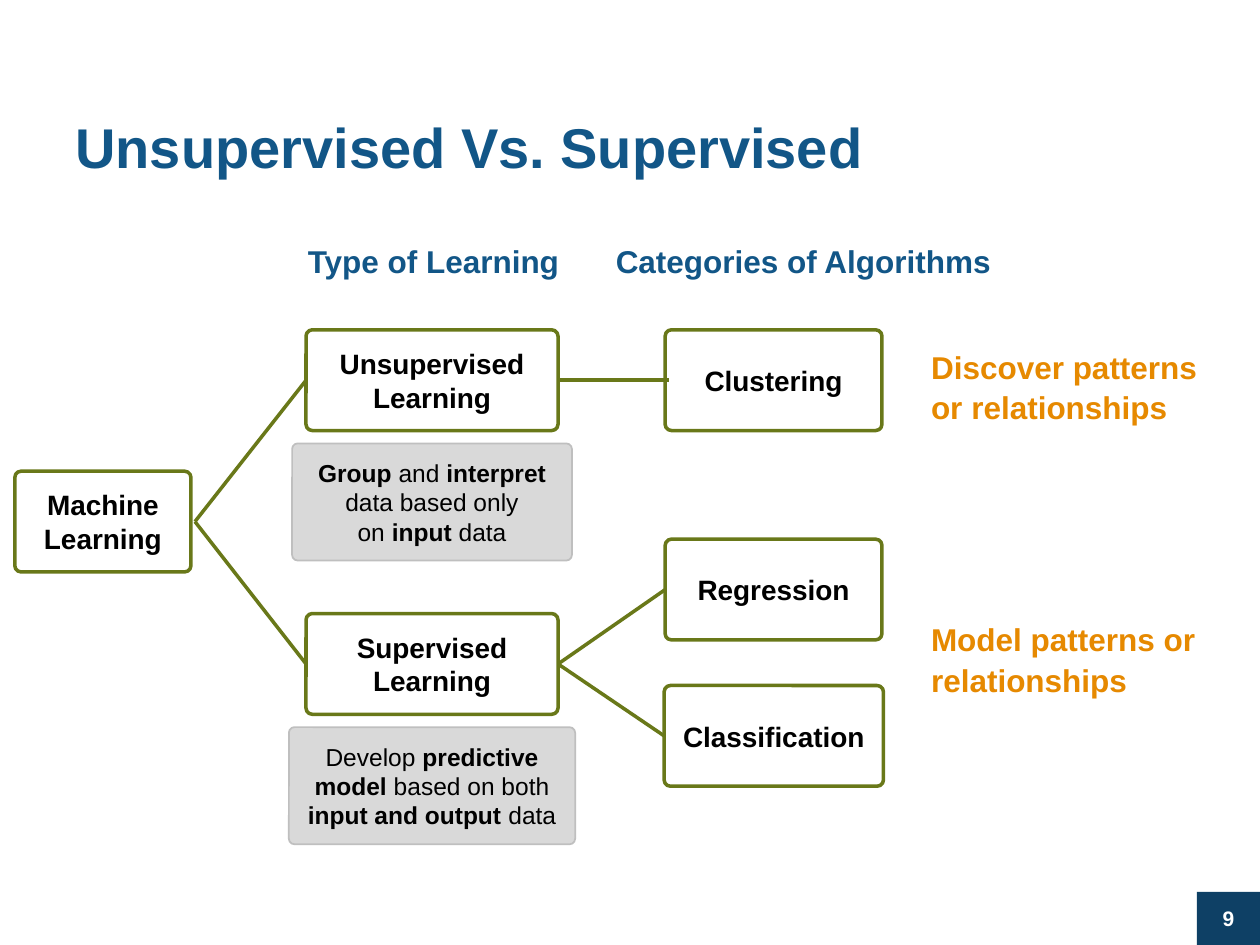
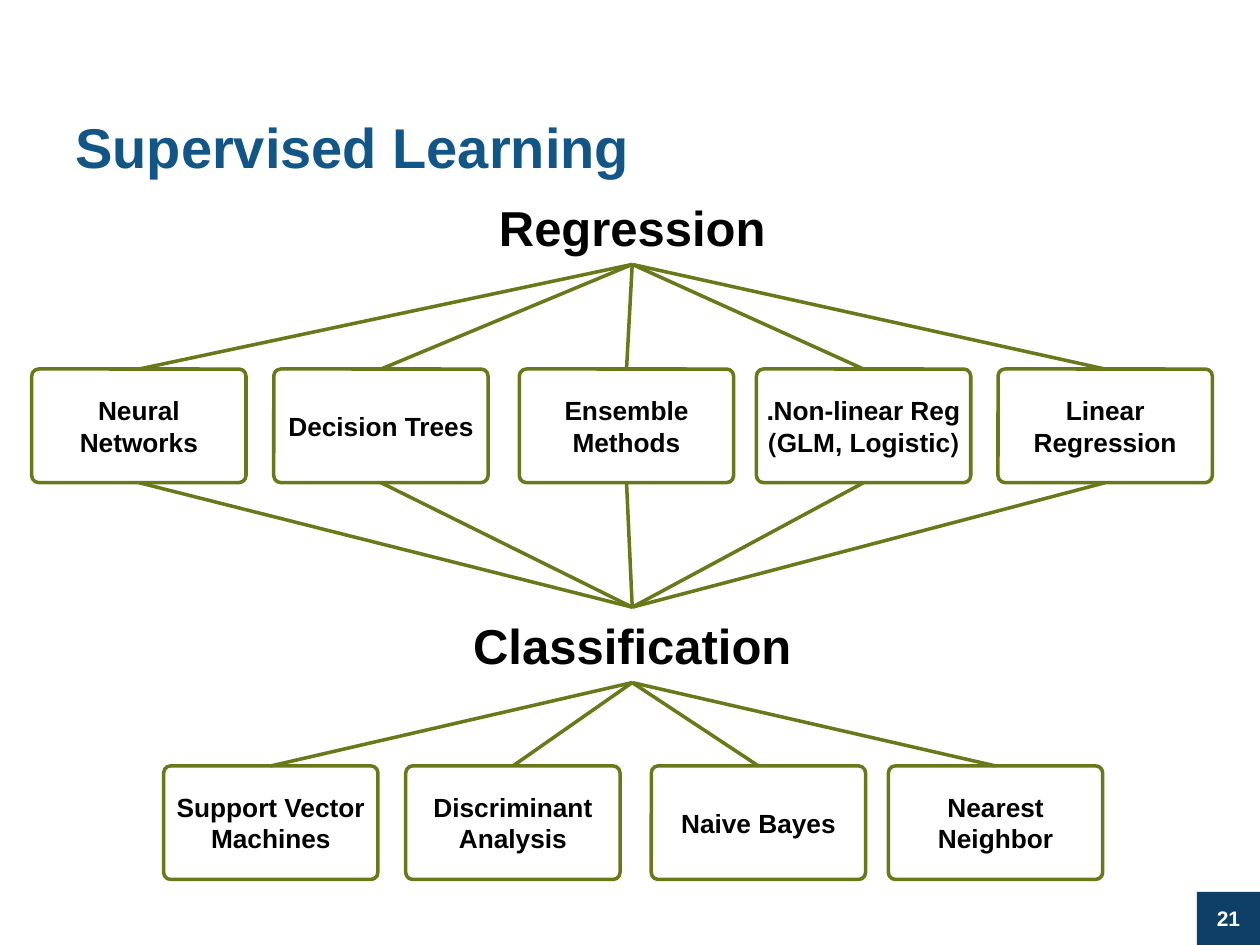
"""Build two slides that map out types of machine learning."""
from collections import namedtuple
from dataclasses import dataclass

from lxml import etree
from pptx import Presentation
from pptx import util as u
from pptx.dml.color import RGBColor
from pptx.enum import shapes, text
from pptx.oxml.ns import qn


@dataclass(frozen=True)
class Theme:
    """Colours, type sizes and line widths of the deck."""
    font: str = "Arial"
    title: str = "125687"
    badge: str = "0E4065"
    branch: str = "697819"
    note: str = "D9D9D9"
    note_edge: str = "BFBFBF"
    accent: str = "E68900"
    ink: str = "000000"
    paper: str = "FFFFFF"
    title_size: int = 32
    hub_size: int = 28
    head_size: int = 18
    node_size: int = 16
    method_size: int = 15
    note_size: int = 14
    badge_size: int = 12
    branch_width: int = 2


T = Theme()
CENTER, LEFT = text.PP_ALIGN.CENTER, text.PP_ALIGN.LEFT
RECT, ROUND = shapes.MSO_SHAPE.RECTANGLE, shapes.MSO_SHAPE.ROUNDED_RECTANGLE


class Box(namedtuple("Box", "x y w h")):
    """A rectangle in centimetres with its edge midpoints."""

    @property
    def cx(self):
        """Return the horizontal centre."""
        return self.x + self.w / 2

    @property
    def left(self):
        """Return the middle of the left edge."""
        return self.x, self.y + self.h / 2

    @property
    def right(self):
        """Return the middle of the right edge."""
        return self.x + self.w, self.y + self.h / 2

    @property
    def top(self):
        """Return the middle of the top edge."""
        return self.cx, self.y

    @property
    def bottom(self):
        """Return the middle of the bottom edge."""
        return self.cx, self.y + self.h

    def emu(self):
        """Return the position and size as lengths."""
        return [u.Cm(v) for v in self]


def write(tf, content, size=T.node_size, color=T.ink, bold=True, align=CENTER,
          rtl=False, spacing=None):
    """Write paragraphs split by newline, breaks by \\v, and toggle bold at **."""
    for i, line in enumerate(content.split("\n")):
        p = tf.add_paragraph() if i else tf.paragraphs[0]
        p.alignment = align
        if rtl:
            p._p.get_or_add_pPr().set("rtl", "1")
        if spacing:
            p.line_spacing = spacing
        for j, part in enumerate(line.split("**")):
            for k, piece in enumerate(part.split("\v")):
                if k:
                    p.add_line_break()
                if piece:
                    r = p.add_run()
                    r.text = piece
                    r.font.name, r.font.size = T.font, u.Pt(size)
                    r.font.bold = bold != bool(j % 2)
                    r.font.color.rgb = RGBColor.from_string(color)


def add_label(slide, box, content, wrap=True, top_inset=0.13, **fmt):
    """Add a text box."""
    tf = slide.shapes.add_textbox(*box.emu()).text_frame
    tf.word_wrap = wrap
    tf.margin_top = u.Cm(top_inset)
    write(tf, content, **fmt)


def add_block(slide, box, content, kind=ROUND, fill=None, line=None, width=T.branch_width,
              radius=0.062, inset=None, **fmt):
    """Add a preset shape with centred text and return its box."""
    sp = slide.shapes.add_shape(kind, *box.emu())
    sp.shadow.inherit = False
    if kind == ROUND:
        sp.adjustments[0] = radius
    if fill:
        sp.fill.solid()
        sp.fill.fore_color.rgb = RGBColor.from_string(fill)
    else:
        sp.fill.background()
    if line:
        sp.line.color.rgb = RGBColor.from_string(line)
        sp.line.width = u.Pt(width)
    else:
        sp.line.fill.background()
    tf = sp.text_frame
    tf.word_wrap = True
    tf.vertical_anchor = text.MSO_ANCHOR.MIDDLE
    if inset is not None:
        tf.margin_left = tf.margin_right = tf.margin_top = tf.margin_bottom = u.Cm(inset)
    write(tf, content, **fmt)
    return box


def add_node(slide, box, content, **fmt):
    """Add an outlined node of the tree."""
    return add_block(slide, box, content, line=T.branch, rtl=True, **fmt)


def add_branches(slide, start, ends):
    """Draw a line from one point to each of the others."""
    for end in ends:
        ln = slide.shapes.add_connector(
            shapes.MSO_CONNECTOR.STRAIGHT, *[u.Cm(v) for v in (*start, *end)])
        ln.line.color.rgb = RGBColor.from_string(T.branch)
        ln.line.width = u.Pt(T.branch_width)
        etree.SubElement(ln._element.spPr, qn("a:effectLst"))


def add_note(slide, node, width, content):
    """Add a grey note centred below a node."""
    box = Box(node.cx - width / 2, node.y + node.h + 0.26, width, 2.36)
    add_block(slide, box, content, fill=T.note, line=T.note_edge, width=1, radius=0.047,
              size=T.note_size, bold=False, rtl=True)


def add_base(prs, title, number):
    """Add a blank slide with its title and number badge."""
    slide = prs.slides.add_slide(prs.slide_layouts[6])
    add_block(slide, Box(24.13, 17.98, 1.27, 1.07), number, kind=RECT, fill=T.badge,
              size=T.badge_size, color=T.paper)
    add_label(slide, Box(1.27, 2.03, 22.43, 3.18), title, top_inset=0.23,
              size=T.title_size, color=T.title, align=LEFT)
    return slide


def add_learning_tree(slide, area):
    """Draw the tree from machine learning to categories of algorithms."""
    def place(x, y, w, h=2.03):
        """Return a box relative to the area."""
        return Box(area.x + x, area.y + y, w, h)

    for x, w, head in ((5.62, 5.64, "Type of Learning"),
                       (11.82, 8.15, "Categories of Algorithms")):
        add_label(slide, place(x, 0, w, 1.02), head, wrap=False,
                  size=T.head_size, color=T.title)

    root = add_node(slide, place(0, 4.75, 3.55), "Machine\vLearning")
    unsup = add_node(slide, place(5.87, 1.9, 5.08), "Unsupervised\vLearning")
    sup = add_node(slide, place(5.87, 7.62, 5.08), "Supervised\vLearning")
    clustering = add_node(slide, place(13.11, 1.9, 4.37), "Clustering")
    regression = add_node(slide, place(13.11, 6.12, 4.37), "Regression")
    classes = add_node(slide, place(13.09, 9.07, 4.42), "Classification")

    add_branches(slide, (root.right[0] + 0.08, root.right[1]), (unsup.left, sup.left))
    add_branches(slide, unsup.right, [(clustering.x + 0.08, clustering.left[1])])
    add_branches(slide, sup.right, (regression.left, classes.left))

    add_note(slide, unsup, 5.64,
             "**Group** and **interpret** data based only\von **input** data")
    add_note(slide, sup, 5.77,
             "Develop **predictive model** based on both\v**input and output **data")
    for y, w, goal in ((2.08, 6.55, "Discover patterns or relationships"),
                       (7.57, 7.26, "Model patterns or relationships")):
        add_label(slide, place(18.22, y, w, 1.9), goal, size=T.head_size,
                  color=T.accent, align=LEFT, spacing=1.07)


def add_hub(slide, y):
    """Add a large heading that branches meet at."""
    return Box(9.19, y, 7.11, 1.52)


def add_methods(slide, x, y, names):
    """Add a row of method nodes and return their boxes."""
    offsets = (0, 4.88, 9.83, 14.61, 19.48)
    return [add_node(slide, Box(x + dx, y, 4.32, 2.29), name,
                     size=T.method_size, inset=0.13)
            for dx, name in zip(offsets, names)]


def add_method_map(slide, area):
    """Draw the methods used for regression and for classification."""
    hubs = [add_block(slide, Box(area.x + 8.55, area.y + dy, 7.11, 1.52), name,
                      size=T.hub_size, rtl=True)
            for dy, name in ((0, "Regression"), (8.43, "Classification"))]
    regression, classes = hubs
    shared = add_methods(slide, area.x, area.y + 3.63, (
        "Neural Networks", "Decision Trees", "Ensemble Methods",
        "Non-linear Reg.\n(GLM, Logistic)", "Linear Regression"))
    own = add_methods(slide, area.x + 2.66, area.y + 11.63, (
        "Support Vector Machines", "Discriminant Analysis", "Naive Bayes",
        "Nearest Neighbor"))
    add_branches(slide, regression.bottom, [m.top for m in shared])
    add_branches(slide, classes.top, [m.bottom for m in shared])
    add_branches(slide, classes.bottom, [m.top for m in own])


def main():
    """Build and save the deck."""
    prs = Presentation()
    prs.slide_width, prs.slide_height = u.Cm(25.4), u.Cm(19.05)
    add_learning_tree(add_base(prs, "Unsupervised Vs. Supervised", "9"),
                      Box(0.3, 4.75, 25.1, 12.3))
    add_method_map(add_base(prs, "Supervised Learning", "21"),
                   Box(0.64, 3.81, 23.8, 13.92))
    prs.save("out.pptx")


if __name__ == "__main__":
    main()
